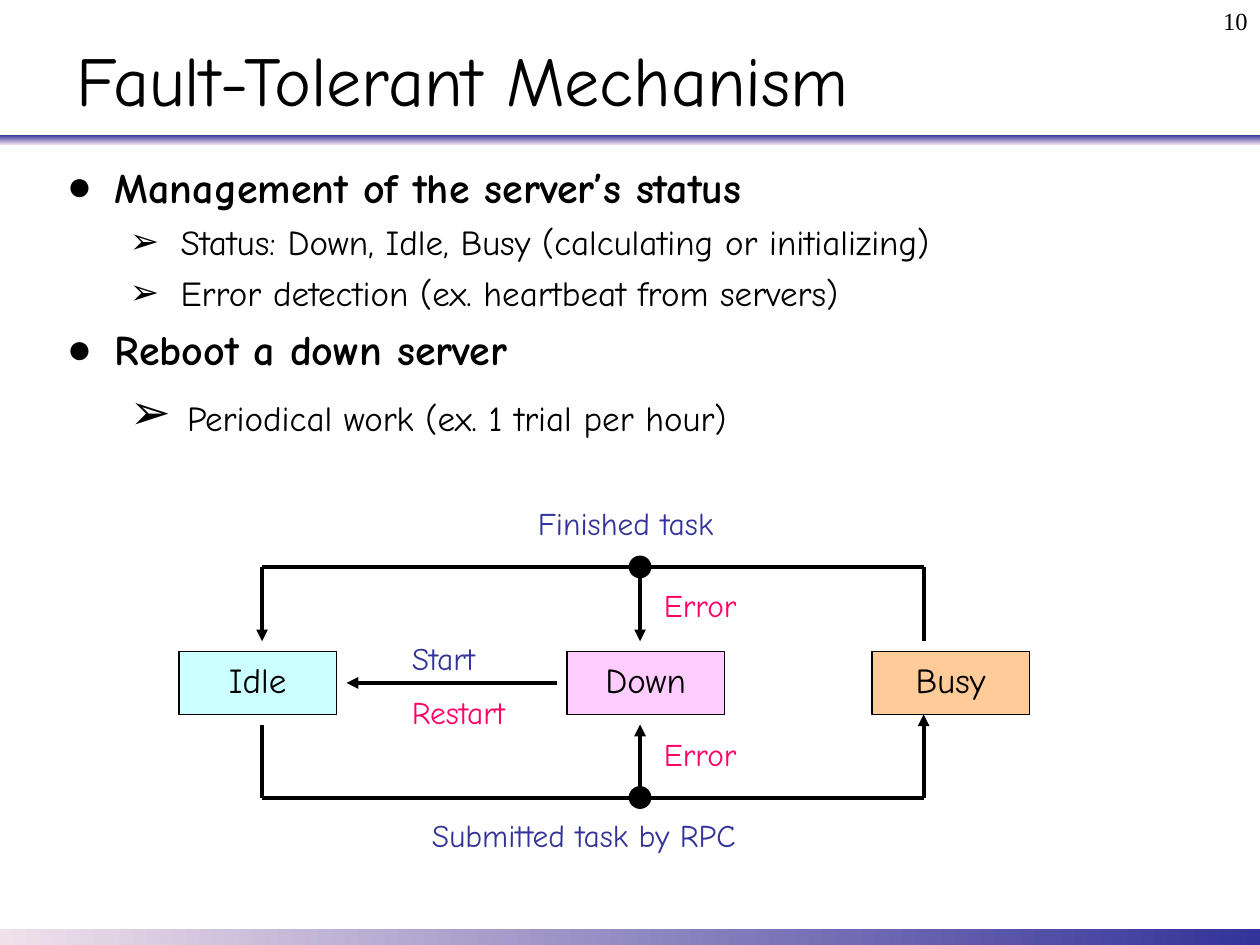
from dataclasses import dataclass

from lxml.etree import SubElement
from pptx import Presentation
from pptx.dml.color import RGBColor
from pptx.enum.shapes import MSO_CONNECTOR, MSO_SHAPE
from pptx.enum.text import MSO_ANCHOR, MSO_AUTO_SIZE, PP_ALIGN
from pptx.oxml.ns import qn
from pptx.util import Inches, Pt


@dataclass(frozen=True)
class Theme:
    font: str = "Comic Neue"
    number_font: str = "Times New Roman"
    ink: str = "000000"
    blue: str = "333399"
    blush: str = "F1E1EB"
    red: str = "FF0066"
    idle: str = "CCFFFF"
    down: str = "FFCCFF"
    busy: str = "FFCC99"
    title: int = 40
    heading: int = 24
    wide_gap: int = 28
    item: int = 20
    label: int = 18
    number: int = 14
    outline: float = 0.75
    wire: float = 2.25


THEME = Theme()

# Each entry: level, then (text, size) runs
OUTLINE = [
    (0, [("Management of the server’s status", THEME.heading)]),
    (1, [(" Status: Down, Idle, Busy (calculating or initializing)", THEME.item)]),
    (1, [(" Error detection (ex. heartbeat from servers)", THEME.item)]),
    (0, [("Reboot a down server", THEME.heading)]),
    (1, [(" ", THEME.wide_gap), ("Periodical work (ex. 1 trial per hour)", THEME.item)]),
]
# Bullet, left margin, hanging indent, space before
LEVELS = [("●", 0.38, -0.38, 6), ("➢", 0.81, -0.31, 5)]


def rgb(value):
    return RGBColor.from_string(value)


def inches(*values):
    return [Inches(value) for value in values]


def add_run(paragraph, text, size, color=THEME.ink, bold=False, font=THEME.font):
    run = paragraph.add_run()
    run.text = text
    run.font.name = font
    run.font.size = Pt(size)
    run.font.bold = bold
    run.font.color.rgb = rgb(color)


def set_frame(frame, top=0.05, anchor=MSO_ANCHOR.TOP, wrap=True):
    frame.auto_size = MSO_AUTO_SIZE.NONE
    frame.word_wrap = wrap
    frame.vertical_anchor = anchor
    frame.margin_left = frame.margin_right = Inches(0.1)
    frame.margin_top, frame.margin_bottom = inches(top, 0.05)


def place(shape, box):
    shape.left, shape.top, shape.width, shape.height = inches(*box)


def add_solid(slide, kind, box, fill):
    shape = slide.shapes.add_shape(kind, *inches(*box))
    shape.shadow.inherit = False
    shape.fill.solid()
    shape.fill.fore_color.rgb = rgb(fill)
    shape.line.color.rgb = rgb(THEME.ink)
    shape.line.width = Pt(THEME.outline)
    return shape


def add_gradient_bar(slide, box, angle):
    bar = slide.shapes.add_shape(MSO_SHAPE.RECTANGLE, *inches(*box))
    bar.shadow.inherit = False
    bar.line.fill.background()
    bar.fill.gradient()
    bar.fill.gradient_angle = angle
    for stop, color in zip(bar.fill.gradient_stops, (THEME.blue, THEME.blush)):
        stop.color.rgb = rgb(color)


def add_title(slide, box, text):
    title = slide.shapes.title
    place(title, box)
    set_frame(title.text_frame, anchor=MSO_ANCHOR.MIDDLE)
    paragraph = title.text_frame.paragraphs[0]
    paragraph.alignment = PP_ALIGN.LEFT
    add_run(paragraph, text, THEME.title)


def set_bullet(paragraph, level):
    bullet, margin, indent, _ = LEVELS[level]
    properties = paragraph._p.get_or_add_pPr()
    properties.set("marL", str(Inches(margin)))
    properties.set("indent", str(Inches(indent)))
    color = SubElement(properties, qn("a:buClr"))
    SubElement(color, qn("a:srgbClr"), val=THEME.ink)
    SubElement(properties, qn("a:buChar"), char=bullet)


def add_outline(slide, box):
    body = slide.placeholders[1]
    place(body, box)
    frame = body.text_frame
    set_frame(frame)
    for index, (level, runs) in enumerate(OUTLINE):
        paragraph = frame.add_paragraph() if index else frame.paragraphs[0]
        paragraph.level = level
        set_bullet(paragraph, level)
        paragraph.space_before = Pt(LEVELS[level][3] if index else 0)
        for text, size in runs:
            add_run(paragraph, text, size, bold=level == 0)


def add_label(slide, box, text, color):
    frame = slide.shapes.add_textbox(*inches(*box)).text_frame
    set_frame(frame, top=0)
    add_run(frame.paragraphs[0], text, THEME.label, color)


def add_state(slide, box, text, fill):
    frame = add_solid(slide, MSO_SHAPE.RECTANGLE, box, fill).text_frame
    set_frame(frame, top=0, anchor=MSO_ANCHOR.MIDDLE, wrap=False)
    frame.paragraphs[0].alignment = PP_ALIGN.CENTER
    add_run(frame.paragraphs[0], text, THEME.item)


def add_wire(slide, start, end, arrow=False):
    wire = slide.shapes.add_connector(MSO_CONNECTOR.STRAIGHT, *inches(*start, *end))
    wire.line.color.rgb = rgb(THEME.ink)
    wire.line.width = Pt(THEME.wire)
    if arrow:
        SubElement(wire.line._get_or_add_ln(), qn("a:tailEnd"), type="triangle")
    SubElement(wire._element.spPr, qn("a:effectLst"))


def add_state_diagram(slide, box):
    left, top, width, height = box
    state_width, state_height, gap, dot = 1.25, 0.5, 0.08, 0.17
    state_top = top + 1.17
    state_bottom = state_top + state_height
    middle = state_top + state_height / 2
    down_left, busy_left = left + 3.08, left + width - state_width
    for x, text, fill in ((left, "Idle", THEME.idle), (down_left, "Down", THEME.down),
                          (busy_left, "Busy", THEME.busy)):
        add_state(slide, (x, state_top, state_width, state_height), text, fill)

    idle_x, down_x, busy_x = left + 0.66, left + 3.66, left + 5.91
    upper, lower = top + 0.5, top + 2.33
    above, below = state_top - gap, state_bottom + gap
    for start, end, arrow in (
        ((down_left - gap, middle), (left + state_width + gap, middle), True),
        ((busy_x, lower), (busy_x, state_bottom), True),
        ((idle_x, lower), (busy_x, lower), False),
        ((idle_x, upper), (busy_x, upper), False),
        ((idle_x, upper), (idle_x, above), True),
        ((busy_x, upper), (busy_x, above), False),
        ((down_x, lower), (down_x, below), True),
        ((down_x, upper), (down_x, above), True),
        ((idle_x, below), (idle_x, lower), False),
    ):
        add_wire(slide, start, end, arrow)

    for x, y, label_width, text, color in (
        (2.75, 0, 1.92, "Finished task", THEME.blue),
        (3.75, 0.65, 0.92, "Error", THEME.red),
        (1.75, 1.07, 1.17, "Start", THEME.blue),
        (1.75, 1.5, 1.17, "Restart", THEME.red),
        (3.75, 1.83, 0.92, "Error", THEME.red),
        (1.91, 2.48, 2.92, "Submitted task by RPC", THEME.blue),
    ):
        add_label(slide, (left + x, top + y, label_width, 0.35), text, color)

    for y in (upper, lower):
        add_solid(slide, MSO_SHAPE.OVAL, (down_x - dot / 2, y - dot / 2, dot, dot), THEME.ink)


def add_page_number(slide, box, text):
    frame = slide.shapes.add_textbox(*inches(*box)).text_frame
    set_frame(frame)
    frame.paragraphs[0].alignment = PP_ALIGN.RIGHT
    add_run(frame.paragraphs[0], text, THEME.number, font=THEME.number_font)


def main():
    presentation = Presentation()
    presentation.slide_width, presentation.slide_height = inches(10, 7.5)
    slide = presentation.slides.add_slide(presentation.slide_layouts[1])
    add_gradient_bar(slide, (0, 1.07, 10, 0.08), 270)
    add_gradient_bar(slide, (0, 7.37, 10, 0.13), 180)
    add_title(slide, (0.51, 0.28, 9.15, 0.69), "Fault-Tolerant Mechanism")
    add_outline(slide, (0.43, 1.23, 9.29, 2.6))
    add_state_diagram(slide, (1.42, 4, 6.75, 2.83))
    add_page_number(slide, (8.85, 0, 1.15, 0.28), "10")
    presentation.save("out.pptx")


if __name__ == "__main__":
    main()
